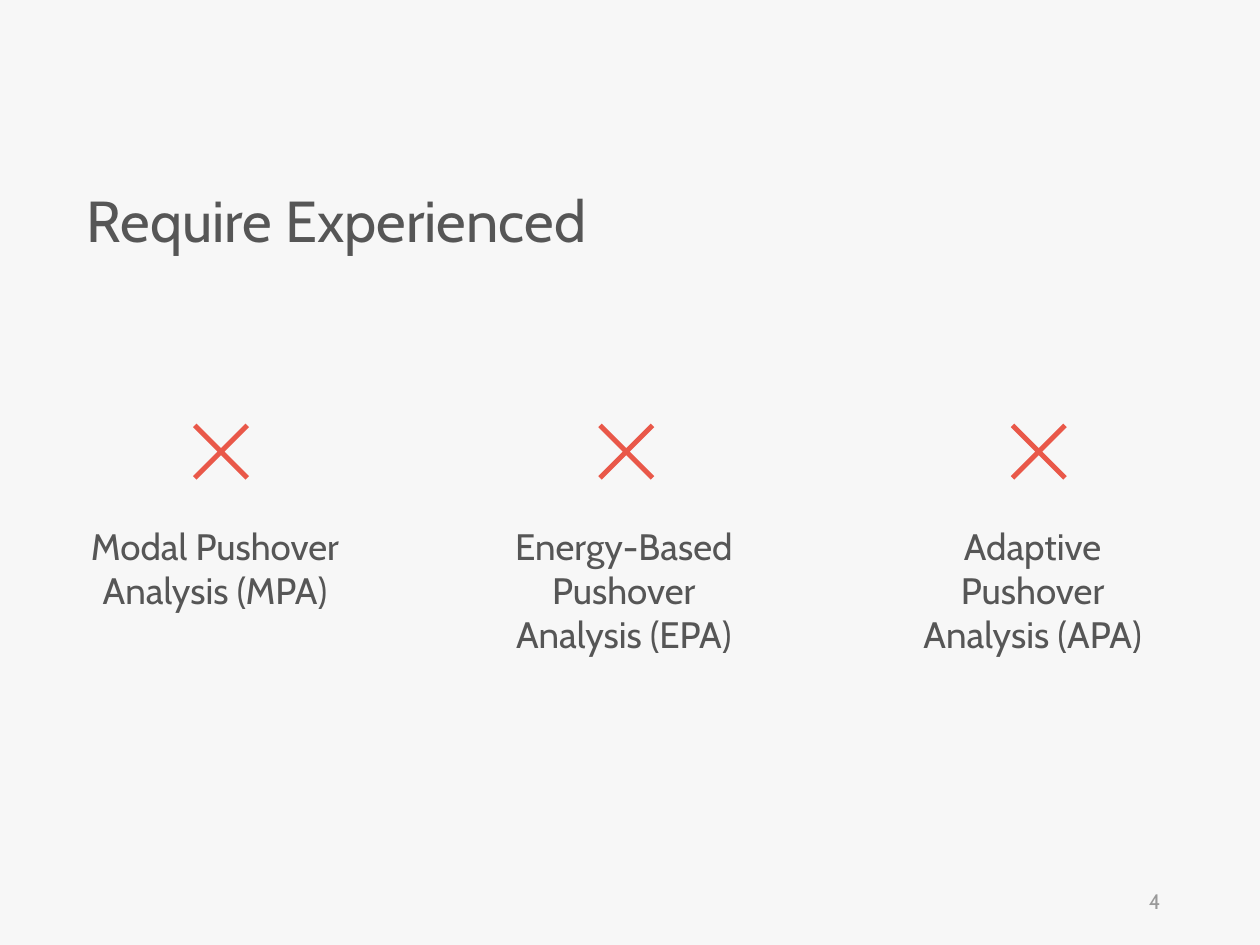
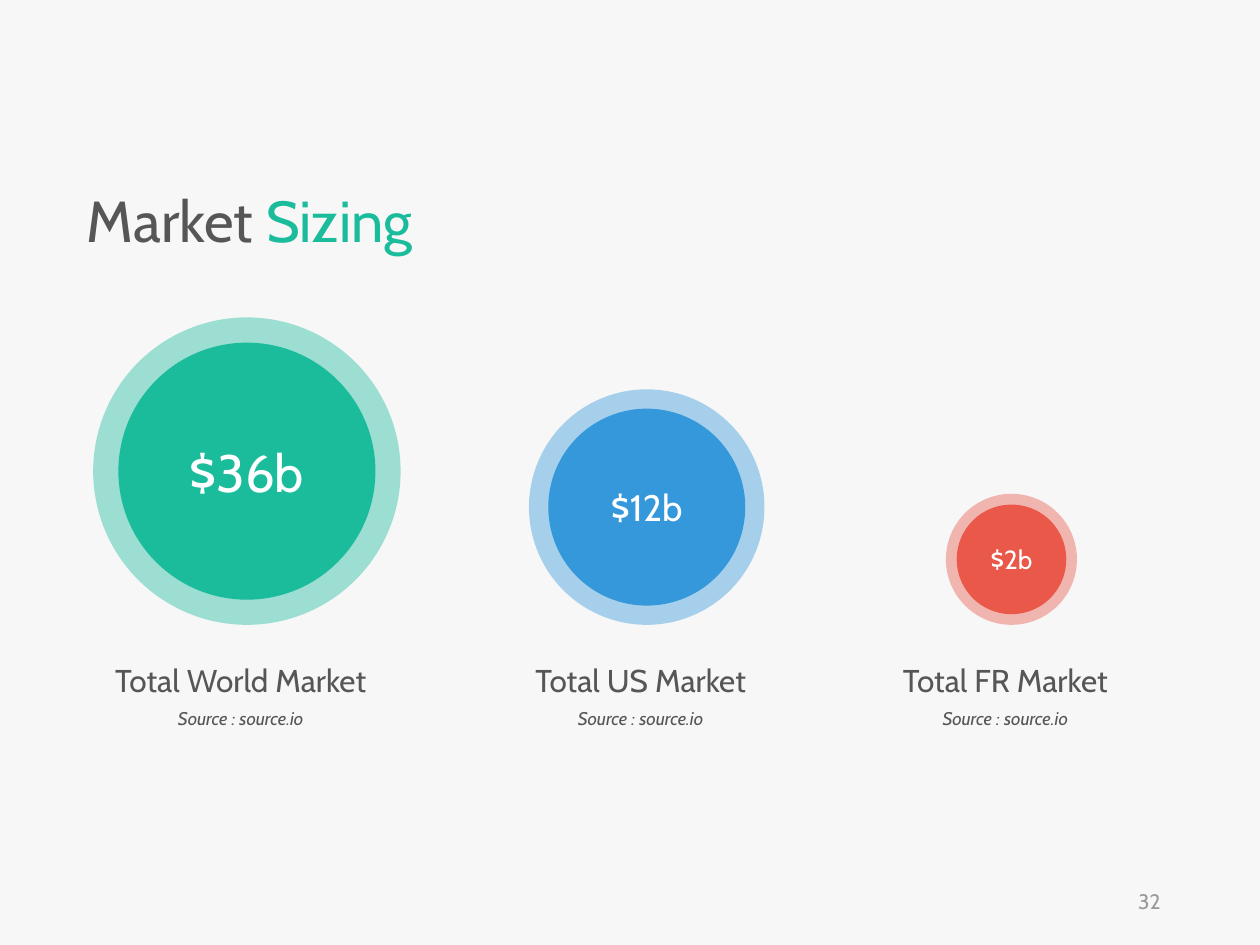
"""Builds two slides: pushover methods that need experience, and market sizing."""
from dataclasses import dataclass

from lxml import etree
from pptx import Presentation
from pptx.dml.color import RGBColor
from pptx.enum import shapes, text
from pptx.oxml import ns
from pptx.util import Pt

PAPER = RGBColor(0xF7, 0xF7, 0xF7)
INK = RGBColor(0x56, 0x56, 0x56)
GREY = RGBColor(0x9A, 0x9A, 0x9A)
WHITE = RGBColor(0xFF, 0xFF, 0xFF)
GREEN = RGBColor(0x1A, 0xBC, 0x9C)
BLUE = RGBColor(0x34, 0x98, 0xDB)
RED = RGBColor(0xE9, 0x58, 0x49)

FONT = "Cabin"
LEFT = 49.7
CENTER = text.PP_ALIGN.CENTER
RIGHT = text.PP_ALIGN.RIGHT


@dataclass(frozen=True)
class Run:
    """A stretch of text in one style."""
    words: str
    size: float
    color: RGBColor = INK
    slant: bool = False


@dataclass(frozen=True)
class Box:
    """A frame in points."""
    left: float
    top: float
    width: float
    height: float

    def emu(self) -> tuple:
        """Gives the frame as lengths."""
        return tuple(Pt(n) for n in (self.left, self.top, self.width, self.height))


@dataclass(frozen=True)
class Method:
    """An analysis method below its cross."""
    name: str
    cross: float
    height: float


@dataclass(frozen=True)
class Market:
    """A market shown as a ringed disc."""
    name: str
    value: str
    size: float
    mid: float
    ring: float
    color: RGBColor


METHODS = (
    Method("Modal Pushover Analysis (MPA)", 126.3, 58.3),
    Method("Energy-Based Pushover Analysis (EPA)", 357.9, 83.5),
    Method("Adaptive Pushover Analysis (APA)", 593.6, 83.5),
)
MARKETS = (
    Market("Total World Market", "$36b", 30, 141.1, 175.7, GREEN),
    Market("Total US Market", "$12b", 21, 369.6, 134.6, BLUE),
    Market("Total FR Market", "$2b", 15, 578, 74.9, RED),
)


def write(frame, runs: list, align=None, lead=None, before=None) -> None:
    """Fills the first paragraph run by run."""
    para = frame.paragraphs[0]
    para.alignment = align
    para.line_spacing = lead
    if before is not None:
        para.space_before = Pt(before)
    for item in runs:
        run = para.add_run()
        run.text = item.words
        run.font.name = FONT
        run.font.size = Pt(item.size)
        run.font.color.rgb = item.color
        if item.slant:
            run.font.italic = True


def label(slide, box: Box, runs: list, align=None, lead=None, before=None) -> None:
    """Adds a text box that grows with its text."""
    frame = slide.shapes.add_textbox(*box.emu()).text_frame
    frame.word_wrap = True
    frame.auto_size = text.MSO_AUTO_SIZE.SHAPE_TO_FIT_TEXT
    frame.margin_left = 0
    write(frame, runs, align, lead, before)


def paint(shape, color: RGBColor) -> None:
    """Gives a shape a plain fill without line or shadow."""
    shape.shadow.inherit = False
    shape.fill.solid()
    shape.fill.fore_color.rgb = color
    shape.line.fill.background()


def fade(shape, share: int) -> None:
    """Sets the opacity of a fill in percent."""
    tone = shape.fill._xPr.find(".//" + ns.qn("a:srgbClr"))
    etree.SubElement(tone, ns.qn("a:alpha")).set("val", str(share * 1000))


def cross(slide, x: float, y: float) -> None:
    """Draws a cross by turning one arm four times."""
    arm = [(16, -14), (14, -16), (0, -2)]
    points = []
    for _ in range(4):
        points += arm
        arm = [(b, -a) for a, b in arm]
    spots = [(Pt(x + a), Pt(y + b)) for a, b in points]
    pen = slide.shapes.build_freeform(*spots[0])
    pen.add_line_segments(spots[1:], close=True)
    paint(pen.convert_to_shape(), RED)


def disc(group, x: float, y: float, size: float, color: RGBColor):
    """Draws a circle around a centre."""
    box = Box(x - size / 2, y - size / 2, size, size)
    shape = group.shapes.add_shape(shapes.MSO_SHAPE.OVAL, *box.emu())
    paint(shape, color)
    return shape


def chart(slide, item: Market) -> None:
    """Draws one market with its ring, value and labels."""
    y = 357.1 - item.ring / 2
    group = slide.shapes.add_group_shape()
    fade(disc(group, item.mid, y, item.ring, item.color), 41)
    core = disc(group, item.mid, y, item.ring * 0.836, item.color)
    core.text_frame.vertical_anchor = text.MSO_ANCHOR.MIDDLE
    write(core.text_frame, [Run(item.value, item.size, WHITE)], CENTER)
    width = 152.6
    left = item.mid - width / 2
    label(slide, Box(left, 370.1, width, 31), [Run(item.name, 18)], CENTER, 1.2)
    source = Run("Source : source.io", 10.5, slant=True)
    label(slide, Box(left, 398.2, width, 20.9), [source], CENTER, 1.2)


def start(deck, title: list, width: float, number: int):
    """Adds a slide with its background, title and number."""
    slide = deck.slides.add_slide(deck.slide_layouts[6])
    slide.background.fill.solid()
    slide.background.fill.fore_color.rgb = PAPER
    label(slide, Box(LEFT, 106.6, width, 43.2), title, lead=0.9, before=10)
    frame = slide.shapes.add_textbox(*Box(508.3, 500.4, 162, 28.8).emu()).text_frame
    frame.word_wrap = True
    frame.vertical_anchor = text.MSO_ANCHOR.MIDDLE
    write(frame, [Run(str(number), 12, GREY)], RIGHT)
    return slide


def main() -> None:
    """Builds and saves the deck."""
    deck = Presentation()
    deck.slide_width, deck.slide_height = Pt(720), Pt(540)

    slide = start(deck, [Run("Require Experienced", 33)], 307.4, 4)
    for i, item in enumerate(METHODS):
        box = Box(LEFT + i * 233.6, 295.9, 153.4, item.height)
        label(slide, box, [Run(item.name, 21)], CENTER)
        cross(slide, item.cross, 258.1)

    slide = start(deck, [Run("Market ", 33), Run("Sizing", 33, GREEN)], 265, 32)
    for item in MARKETS:
        chart(slide, item)

    deck.save("out.pptx")


if __name__ == "__main__":
    main()
